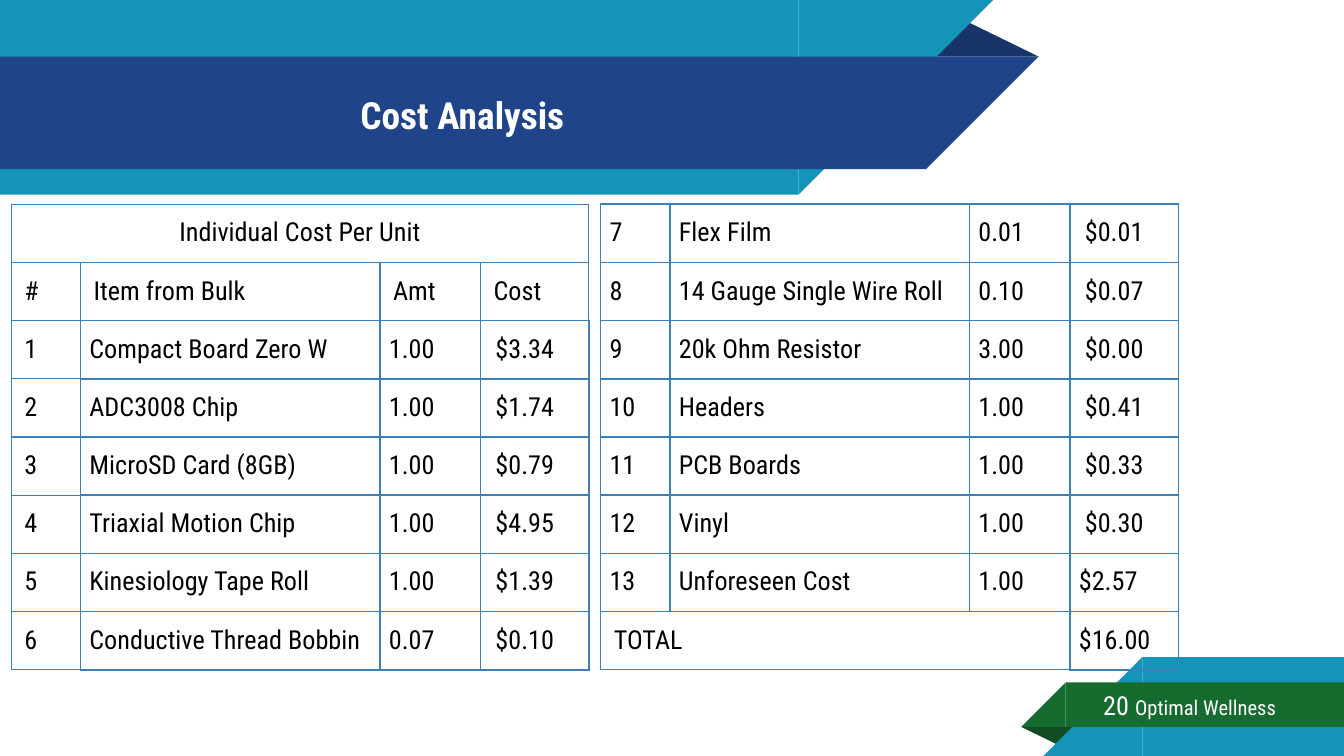
from dataclasses import dataclass

from lxml import etree
from pptx import Presentation, util as u
from pptx.dml.color import RGBColor
from pptx.enum import shapes, text
from pptx.oxml import ns


@dataclass(frozen=True)
class Theme:
    """Colours, font, type sizes and line weights of the slide."""
    teal: str = "1594BA"
    navy: str = "204489"
    navy_fold: str = "193469"
    green: str = "166C2F"
    green_fold: str = "104D22"
    border: str = "3A81BA"
    ink: str = "000000"
    light: str = "FFFFFF"
    font: str = "Roboto Condensed"
    title_size: float = 20
    body_size: float = 14
    footer_size: float = 11
    thin: float = 0.75
    heavy: float = 1


THEME = Theme()
COLUMN_WIDTHS = (1.31, 5.66, 1.9, 2.05)
ROW_HEIGHT = 1.1
WIDE_INSET, NARROW_INSET = 0.25, 0.17

FIRST_COSTS = (
    ("Individual Cost Per Unit", "", "", ""),
    ("#", "Item from Bulk", "Amt", "Cost"),
    ("1", "Compact Board Zero W", "1.00", " $3.34"),
    ("2", "ADC3008 Chip", "1.00", " $1.74"),
    ("3", "MicroSD Card (8GB)", "1.00", " $0.79"),
    ("4", "Triaxial Motion Chip", "1.00", " $4.95"),
    ("5", "Kinesiology Tape Roll", "1.00", " $1.39"),
    ("6", "Conductive Thread Bobbin", "0.07", " $0.10"),
)
OTHER_COSTS = (
    ("7", "Flex Film", "0.01", " $0.01"),
    ("8", "14 Gauge Single Wire Roll", "0.10", " $0.07"),
    ("9", "20k Ohm Resistor", "3.00", " $0.00"),
    ("10", "Headers", "1.00", " $0.41"),
    ("11", "PCB Boards", "1.00", " $0.33"),
    ("12", "Vinyl", "1.00", " $0.30"),
    ("13", "Unforeseen Cost", "1.00", "$2.57"),
    ("TOTAL", "", "", "$16.00"),
)


def add_run(paragraph, wording, size, colour, bold=False):
    """Add one styled run to a paragraph."""
    run = paragraph.add_run()
    run.text = wording
    run.font.name = THEME.font
    run.font.size = u.Pt(size)
    run.font.bold = bold
    run.font.color.rgb = RGBColor.from_string(colour)


def add_block(slide, preset, box, colour, rotation=0):
    """Add a plain filled preset shape."""
    block = slide.shapes.add_shape(preset, *map(u.Cm, box))
    block.shadow.inherit = False
    block.fill.solid()
    block.fill.fore_color.rgb = RGBColor.from_string(colour)
    block.line.fill.background()
    block.rotation = rotation
    return block


def add_fold(slide, box, colour, rotation=0):
    """Add the dark folded corner behind a ribbon."""
    fold = add_block(slide, shapes.MSO_SHAPE.ISOSCELES_TRIANGLE, box, colour, rotation)
    fold.adjustments[0] = 0.324


def add_ribbon(slide, left, top, width, height, colour, slant_right):
    """Add a band whose right or left end is cut at 45 degrees."""
    add_block(slide, shapes.MSO_SHAPE.RECTANGLE, (left, top, width, height), colour)
    slant_left = left + width if slant_right else left - height
    add_block(slide, shapes.MSO_SHAPE.RIGHT_TRIANGLE, (slant_left, top, height, height),
              colour, 90 if slant_right else 270)


def add_caption(slide, box, runs, align=text.PP_ALIGN.LEFT):
    """Add a vertically centred one-line text box."""
    frame = slide.shapes.add_textbox(*map(u.Cm, box)).text_frame
    frame.word_wrap = True
    frame.vertical_anchor = text.MSO_ANCHOR.MIDDLE
    frame.margin_left = frame.margin_right = u.Cm(WIDE_INSET)
    frame.margin_top = frame.margin_bottom = u.Cm(WIDE_INSET)
    paragraph = frame.paragraphs[0]
    paragraph.alignment = align
    for wording, size, bold in runs:
        add_run(paragraph, wording, size, THEME.light, bold)


def add_borders(cell, weights):
    """Draw the four borders of a cell, given left, right, top and bottom weights."""
    properties = cell._tc.get_or_add_tcPr()
    for side, weight in zip("LRTB", weights):
        line = etree.SubElement(properties, ns.qn(f"a:ln{side}"), w=str(u.Pt(weight)))
        fill = etree.SubElement(line, ns.qn("a:solidFill"))
        etree.SubElement(fill, ns.qn("a:srgbClr"), val=THEME.border)


def add_cost_table(slide, left, top, rows, is_label, merged):
    """Add a cost table; an edge is heavy where it touches a value cell."""
    frame = slide.shapes.add_table(len(rows), len(COLUMN_WIDTHS), u.Cm(left), u.Cm(top),
                                   u.Cm(sum(COLUMN_WIDTHS)), u.Cm(ROW_HEIGHT * len(rows)))
    table = frame.table
    table.first_row = table.horz_banding = False
    for column, width in zip(table.columns, COLUMN_WIDTHS):
        column.width = u.Cm(width)

    def is_value(r, c):
        return 0 <= r < len(rows) and 0 <= c < len(COLUMN_WIDTHS) and not is_label(r, c)

    for r, row in enumerate(rows):
        table.rows[r].height = u.Cm(ROW_HEIGHT)
        for c, wording in enumerate(row):
            cell = table.cell(r, c)
            inset = NARROW_INSET if is_value(r, c) else WIDE_INSET
            cell.margin_left = cell.margin_right = u.Cm(inset)
            cell.margin_top = cell.margin_bottom = u.Cm(WIDE_INSET)
            neighbours = ((r, c - 1), (r, c + 1), (r - 1, c), (r + 1, c))
            add_borders(cell, [THEME.heavy if is_value(r, c) or is_value(*near) else THEME.thin
                               for near in neighbours])
            cell.fill.background()
            if wording:
                add_run(cell.text_frame.paragraphs[0], wording, THEME.body_size, THEME.ink)
    merged_row, last_column = merged
    table.cell(merged_row, 0).merge(table.cell(merged_row, last_column))
    return table


def main():
    """Build the cost analysis slide."""
    deck = Presentation()
    deck.slide_width, deck.slide_height = u.Cm(25.4), u.Cm(14.29)
    slide = deck.slides.add_slide(deck.slide_layouts[6])

    add_fold(slide, (17.48, 0.36, 2.15, 0.71), THEME.navy_fold)
    add_ribbon(slide, 0, 0, 15.09, 3.68, THEME.teal, True)
    add_ribbon(slide, 0, 1.07, 17.5, 2.13, THEME.navy, True)
    add_fold(slide, (19.3, 13.74, 1.09, 0.36), THEME.green_fold, 180)
    add_ribbon(slide, 21.59, 12.42, 3.81, 1.87, THEME.teal, False)
    add_ribbon(slide, 20.14, 12.9, 5.26, 0.84, THEME.green, False)

    add_caption(slide, (0, 1.1, 17.48, 2.13),
                [("Cost Analysis", THEME.title_size, True)], text.PP_ALIGN.CENTER)
    add_caption(slide, (20.6, 12.88, 4.7, 0.89),
                [("20 ", THEME.body_size, False),
                 ("Optimal Wellness", THEME.footer_size, False)])

    first_table = add_cost_table(slide, 0.21, 3.86, FIRST_COSTS,
                                 lambda r, c: r < 2 or c == 0, (0, 3))
    heading = first_table.cell(0, 0).text_frame.paragraphs[0]
    heading.alignment = text.PP_ALIGN.CENTER
    add_cost_table(slide, 11.35, 3.86, OTHER_COSTS,
                   lambda r, c: r == 7 and c < 3, (7, 2))
    deck.save("out.pptx")


if __name__ == "__main__":
    main()
